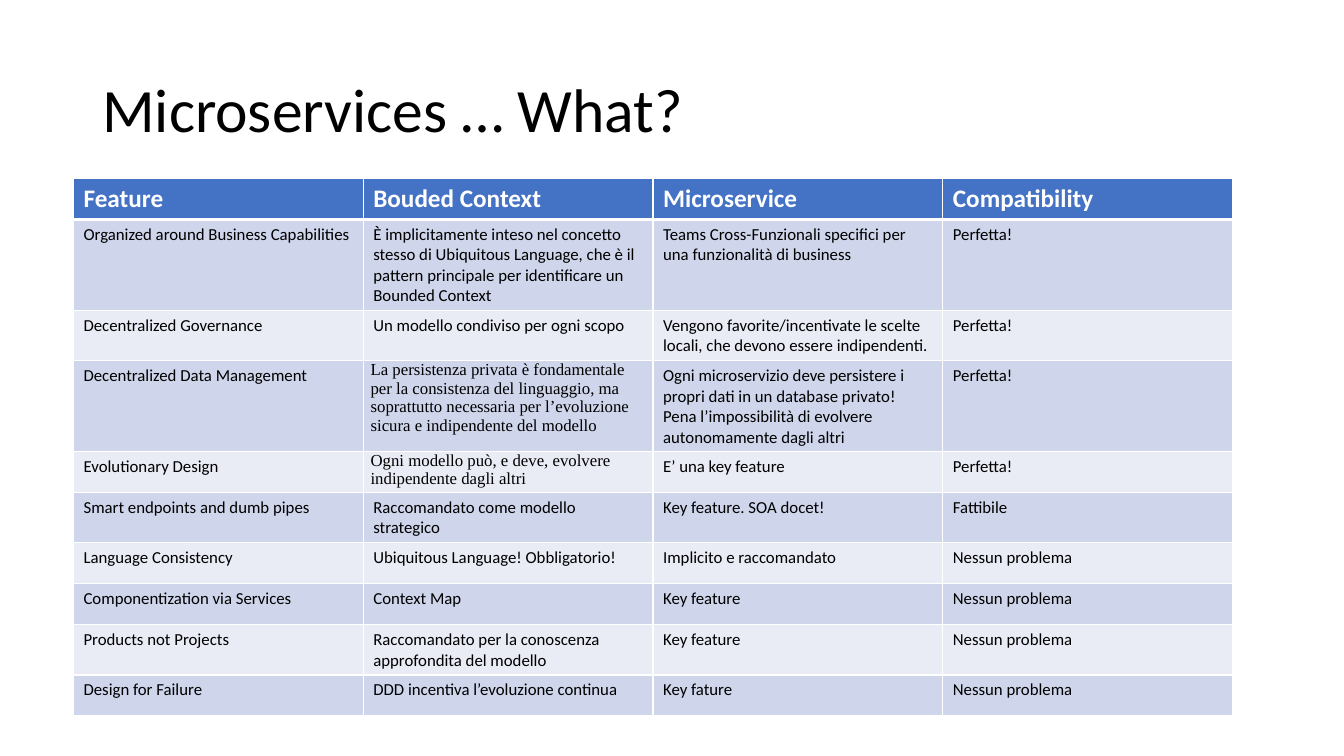
from lxml.etree import SubElement
from pptx import Presentation
from pptx.dml.color import RGBColor
from pptx.enum.text import MSO_ANCHOR
from pptx.oxml.ns import qn
from pptx.util import Pt

PX = 9525
COLORS = {
    "text": "000000",
    "white": "FFFFFF",
    "header": "4472C4",
    "band_dark": "CFD5EA",
    "band_light": "E9EBF5",
}
HEADER = ["Feature", "Bouded Context", "Microservice", "Compatibility"]
FEATURES = [
    ["Organized around Business Capabilities",
     "È implicitamente inteso nel concetto stesso di Ubiquitous Language, "
     "che è il pattern principale per identificare un Bounded Context",
     "Teams Cross-Funzionali specifici per una funzionalità di business",
     "Perfetta!"],
    ["Decentralized Governance",
     "Un modello condiviso per ogni scopo",
     "Vengono favorite/incentivate le scelte locali, che devono essere indipendenti.",
     "Perfetta!"],
    ["Decentralized Data Management",
     "La persistenza privata è fondamentale per la consistenza del linguaggio, "
     "ma soprattutto necessaria per l’evoluzione sicura e indipendente del modello",
     "Ogni microservizio deve persistere i propri dati in un database privato! "
     "Pena l’impossibilità di evolvere autonomamente dagli altri",
     "Perfetta!"],
    ["Evolutionary Design",
     "Ogni modello può, e deve, evolvere indipendente dagli altri",
     "E’ una key feature",
     "Perfetta!"],
    ["Smart endpoints and dumb pipes",
     "Raccomandato come modello strategico",
     "Key feature. SOA docet!",
     "Fattibile"],
    ["Language Consistency",
     "Ubiquitous Language! Obbligatorio!",
     "Implicito e raccomandato",
     "Nessun problema"],
    ["Componentization via Services",
     "Context Map",
     "Key feature",
     "Nessun problema"],
    ["Products not Projects",
     "Raccomandato per la conoscenza approfondita del modello",
     "Key feature",
     "Nessun problema"],
    ["Design for Failure",
     "DDD incentiva l’evoluzione continua",
     "Key fature",
     "Nessun problema"],
]
SERIF_CELLS = {(3, 1), (4, 1)}


def px(n):
    return n * PX


def rgb(name):
    return RGBColor.from_string(COLORS[name])


def write(tf, text, size, color, name="Calibri", bold=False):
    tf.text = text
    p = tf.paragraphs[0]
    font = p.runs[0].font
    font.name, font.size, font.bold = name, Pt(size), bold
    font.color.rgb = rgb(color)
    return p


def add_title(s, text):
    sp = s.shapes.add_textbox(px(88), px(38), px(1104), px(139))
    tf = sp.text_frame
    tf.word_wrap = True
    tf.vertical_anchor = MSO_ANCHOR.MIDDLE
    write(tf, text, 44, "text").line_spacing = 0.9


def set_borders(cell, top, bottom):
    tcPr = cell._tc.get_or_add_tcPr()
    for tag, width in (("lnL", 1), ("lnR", 1), ("lnT", top), ("lnB", bottom)):
        ln = SubElement(tcPr, qn(f"a:{tag}"), w=str(Pt(width)))
        fill = SubElement(ln, qn("a:solidFill"))
        SubElement(fill, qn("a:srgbClr"), val=COLORS["white"])


def format_cell(cell, text, row, col):
    set_borders(cell, 3 if row == 1 else 1, 3 if row == 0 else 1)
    cell.fill.solid()
    if row == 0:
        cell.fill.fore_color.rgb = rgb("header")
        write(cell.text_frame, text, 18, "white", bold=True)
        return
    cell.fill.fore_color.rgb = rgb("band_dark" if row % 2 else "band_light")
    serif = (row, col) in SERIF_CELLS
    write(cell.text_frame, text, 12, "text", "Times New Roman" if serif else "Calibri")
    if serif:
        cell.margin_left = cell.margin_right = px(7)
        cell.margin_top = cell.margin_bottom = 0


def add_feature_table(s):
    rows = [HEADER, *FEATURES]
    frame = s.shapes.add_table(len(rows), len(HEADER), px(70), px(170),
                               px(276 * len(HEADER)), px(39 * len(rows)))
    table = frame.table
    for i, values in enumerate(rows):
        for j, text in enumerate(values):
            format_cell(table.cell(i, j), text, i, j)


def main():
    prs = Presentation()
    prs.slide_width, prs.slide_height = px(1280), px(720)
    s = prs.slides.add_slide(prs.slide_layouts[6])
    add_title(s, "Microservices … What?")
    add_feature_table(s)
    prs.save("out.pptx")


if __name__ == "__main__":
    main()
